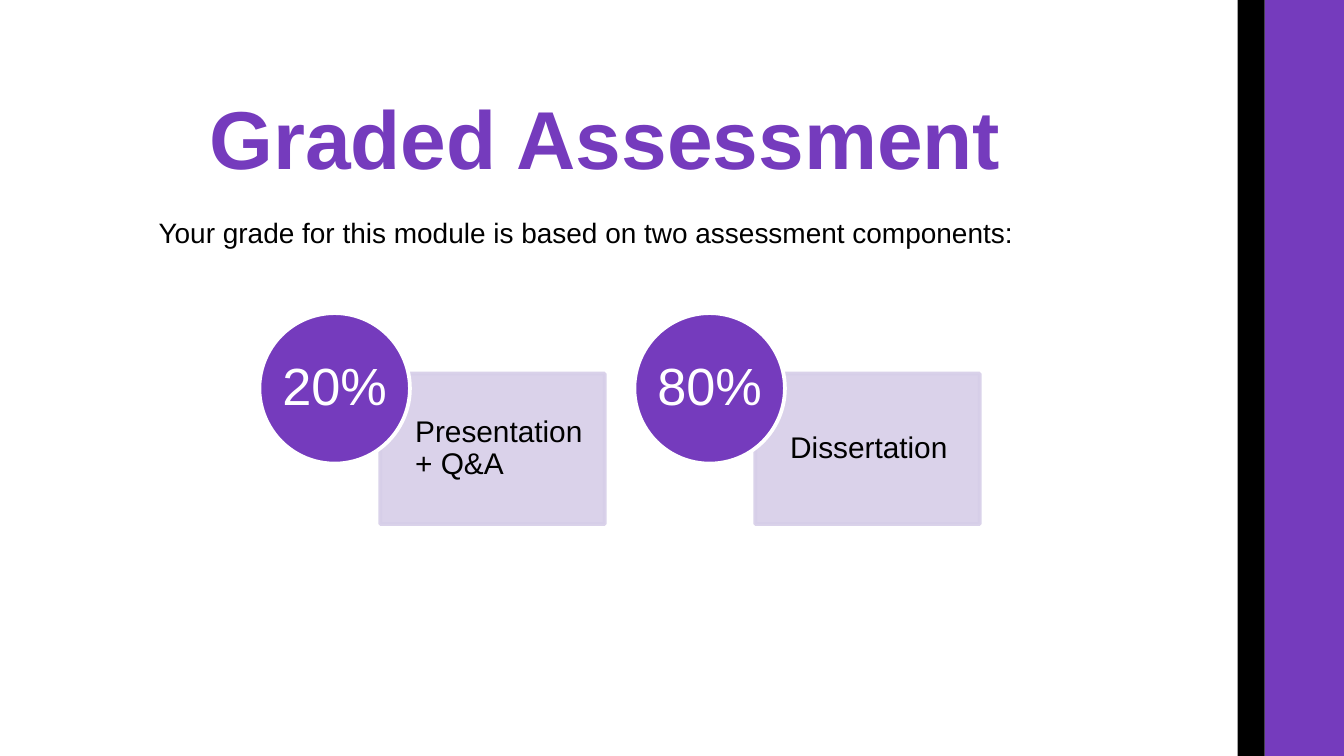
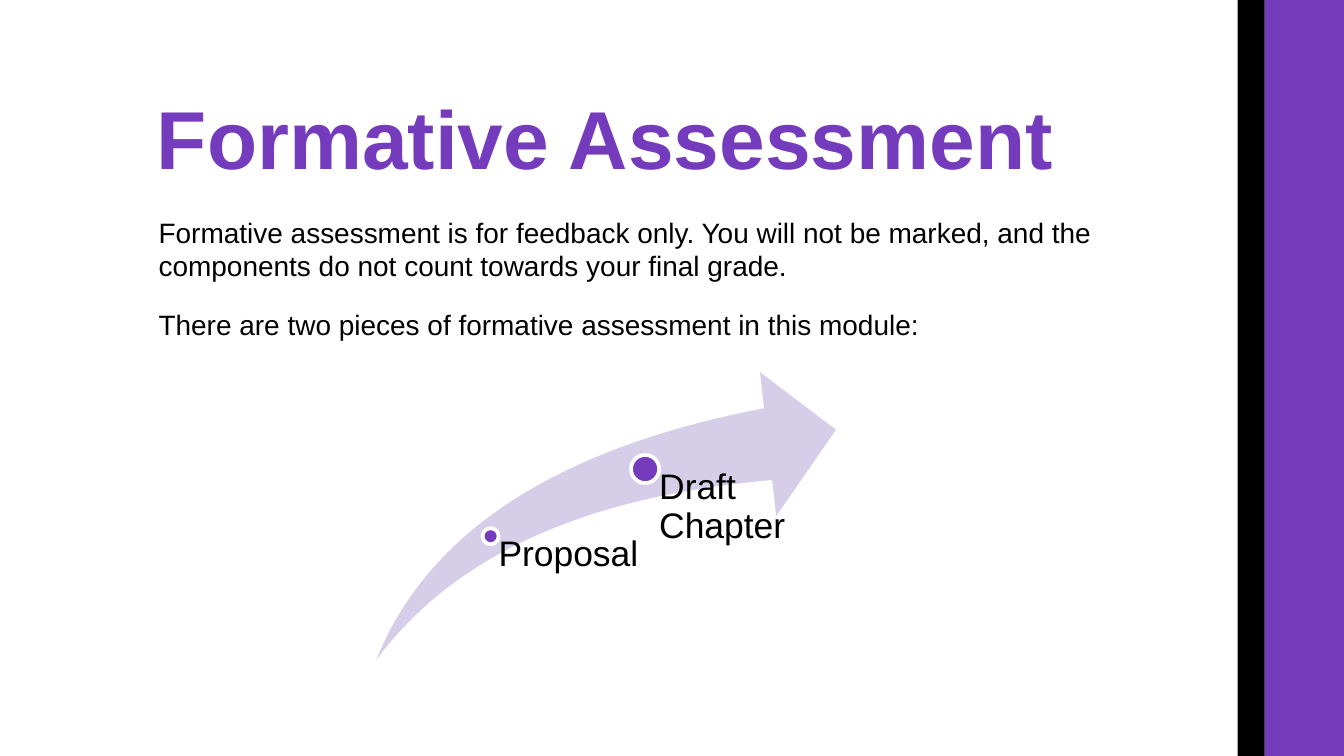
import pptx
import pptx.util
import pptx.dml.color
import pptx.enum.shapes
import pptx.enum.text
import pptx.oxml.ns
import lxml.etree

Inches = pptx.util.Inches
Pt = pptx.util.Pt
SHAPE = pptx.enum.shapes.MSO_SHAPE
ALIGN = pptx.enum.text.PP_ALIGN
ANCHOR = pptx.enum.text.MSO_ANCHOR

# Content
GRADED = {
    "title": "Graded Assessment",
    "intro": "Your grade for this module is based on two assessment components:",
    "components": [("20%", "Presentation + Q&A"), ("80%", "Dissertation")],
}
FORMATIVE = {
    "title": "Formative Assessment",
    "intro": "Formative assessment is for feedback only. You will not be marked, "
             "and the components do not count towards your final grade.",
    "lead": "There are two pieces of formative assessment in this module:",
    # label, centre of the dot, dot diameter, label height
    "milestones": [("Proposal", (3.65, 3.99), 0.12, 0.91),
                   ("Draft Chapter", (4.8, 3.49), 0.21, 1.41)],
}

# Shared style
FONT = "Arial"
COLORS = {"purple": "753BBD", "lilac": "D6CEE8", "black": "000000", "white": "FFFFFF"}
PAGE_WIDTH = 10
PAGE_HEIGHT = PAGE_WIDTH * 9 / 16
BANDS = [(9.41, 0.59, "purple"), (9.21, 0.2, "black")]


def color(name):
    return pptx.dml.color.RGBColor.from_string(COLORS[name])


def place(shape, left, top, width, height):
    shape.left, shape.top = Inches(left), Inches(top)
    shape.width, shape.height = Inches(width), Inches(height)


def write(shape, text, size, ink="black", bold=False, align=ALIGN.LEFT,
          anchor=ANCHOR.TOP, insets=(0, 0, 0, 0), spacing=0.9):
    frame = shape.text_frame
    frame.word_wrap = True
    frame.auto_size = pptx.enum.text.MSO_AUTO_SIZE.NONE
    frame.vertical_anchor = anchor
    frame.margin_left, frame.margin_top, frame.margin_right, frame.margin_bottom = map(
        Inches, insets)
    para = frame.paragraphs[0]
    para.alignment = align
    para.line_spacing = spacing
    para.space_before = Pt(0)
    span = para.add_run()
    span.text = text
    span.font.name = FONT
    span.font.size = Pt(size)
    span.font.bold = bold
    span.font.color.rgb = color(ink)
    return para


def write_body(shape, text):
    """Body copy: indented, without a bullet."""
    para = write(shape, text, 15, spacing=1.0)
    properties = para._p.get_or_add_pPr()
    properties.set("marL", str(Inches(0.3)))
    properties.set("indent", "0")
    lxml.etree.SubElement(properties, pptx.oxml.ns.qn("a:buNone"))


def add_shape(page, kind, at, fill, line=None, opacity=None):
    shape = page.shapes.add_shape(kind, *map(Inches, at))
    shape.shadow.inherit = False
    shape.fill.solid()
    shape.fill.fore_color.rgb = color(fill)
    if line:
        shape.line.color.rgb = color(line)
        shape.line.width = Pt(2)
    else:
        shape.line.fill.background()
    if opacity:
        for tint in shape._element.spPr.iter(pptx.oxml.ns.qn("a:srgbClr")):
            alpha = lxml.etree.SubElement(tint, pptx.oxml.ns.qn("a:alpha"))
            alpha.set("val", str(opacity * 1000))
    return shape


def add_text_box(page, at):
    return page.shapes.add_textbox(*map(Inches, at))


def add_page(deck, content, body_size):
    page = deck.slides.add_slide(deck.slide_layouts[1])
    for left, width, fill in BANDS:
        add_shape(page, SHAPE.RECTANGLE, (left, 0, width, PAGE_HEIGHT), fill)
    title, body = page.shapes.title, page.placeholders[1]
    place(title, 0.4, 0.39, 8.21, 1)
    write(title, content["title"], 44, "purple", True, ALIGN.CENTER, ANCHOR.BOTTOM)
    place(body, 0.88, 1.6, *body_size)
    write_body(body, content["intro"])
    return page


def build_graded(deck):
    page = add_page(deck, GRADED, (7.08, 0.38))
    left, top, step, diameter = 1.93, 2.33, 2.79, 1.12
    for index, (share, label) in enumerate(GRADED["components"]):
        x = left + index * step
        card = add_shape(page, SHAPE.RECTANGLE, (x + 0.9, top + 0.45, 1.67, 1.12),
                         "lilac", "lilac", 90)
        write(card, label, 16, anchor=ANCHOR.MIDDLE, insets=(0.26, 0.12, 0.12, 0.12))
        badge = add_shape(page, SHAPE.OVAL, (x, top, diameter, diameter), "purple", "white")
        write(badge, share, 28, "white", align=ALIGN.CENTER, anchor=ANCHOR.MIDDLE)


def build_formative(deck):
    page = add_page(deck, FORMATIVE, (8.41, 0.64))
    write_body(add_text_box(page, (0.88, 2.29, 6.2, 0.38)), FORMATIVE["lead"])

    # Rising arrow with its milestones
    arrow = add_shape(page, SHAPE.SWOOSH_ARROW, (2.8, 2.77, 3.42, 2.14), "lilac")
    arrow.adjustments[0] = arrow.adjustments[1] = 0.25
    for label, (x, y), diameter, height in FORMATIVE["milestones"]:
        radius = diameter / 2
        add_shape(page, SHAPE.OVAL, (x - radius, y - radius, diameter, diameter),
                  "purple", "white")
        box = add_text_box(page, (x, y, 1.11, height))
        write(box, label, 19, insets=(radius, 0, 0, 0))


def main():
    deck = pptx.Presentation()
    deck.slide_width, deck.slide_height = Inches(PAGE_WIDTH), Inches(PAGE_HEIGHT)
    build_graded(deck)
    build_formative(deck)
    deck.save("out.pptx")


if __name__ == "__main__":
    main()
